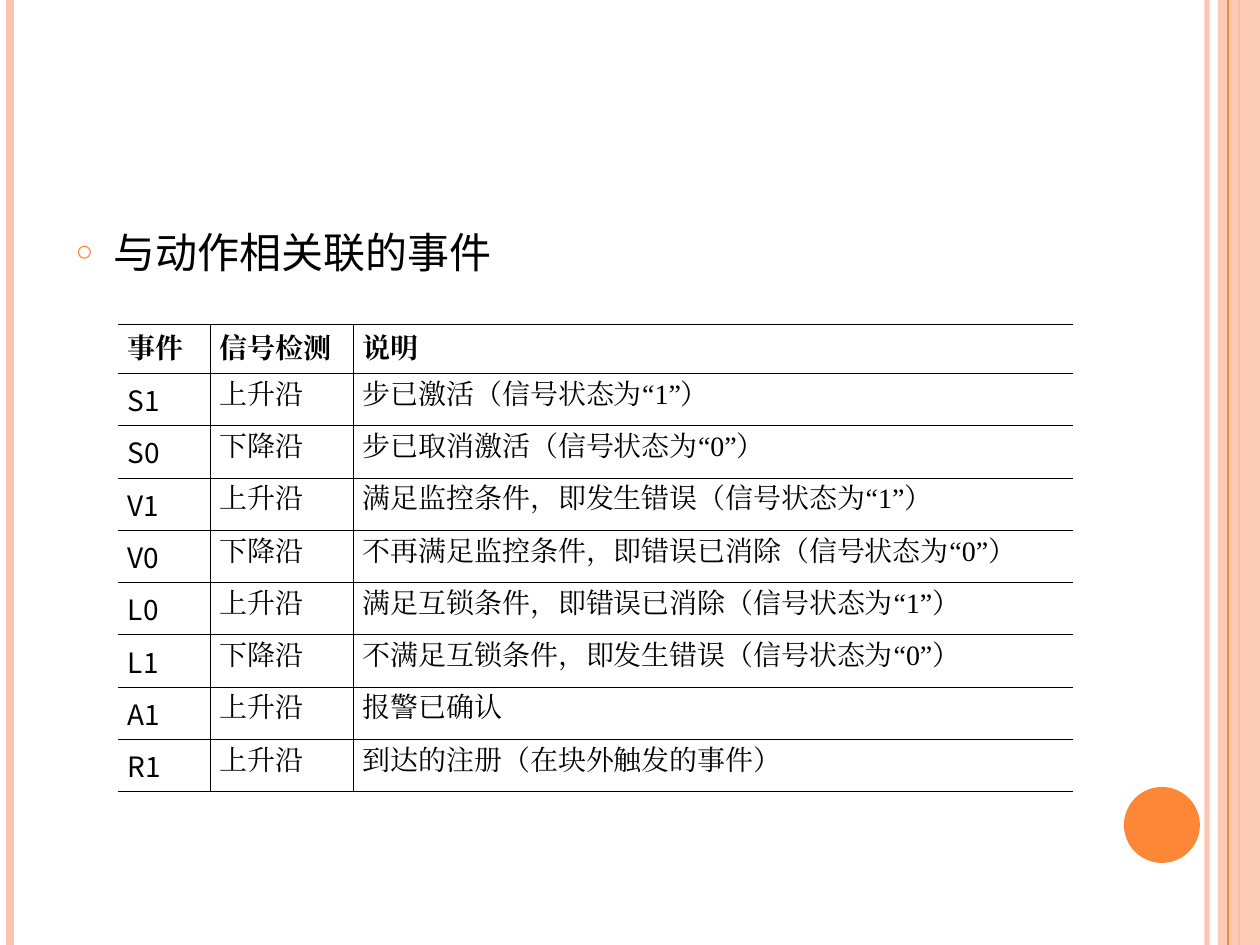
from lxml.etree import SubElement
from pptx import Presentation
from pptx.dml.color import RGBColor
from pptx.enum.shapes import MSO_CONNECTOR, MSO_SHAPE
from pptx.enum.text import MSO_ANCHOR, PP_ALIGN
from pptx.oxml.ns import qn
from pptx.util import Pt

EMU_PER_PX = 914400 / 126
SLIDE_WIDTH, SLIDE_HEIGHT = 1260, 945
BLACK, ORANGE, PEACH = "000000", "FE8637", "FEC3AE"
SERIF, SANS, HEADING = "Times New Roman", "Noto Sans CJK SC", "TeX Gyre Schola"
COLUMN_WIDTHS = [92, 143, 720]
EVENTS = [
    ("事件", "信号检测", "说明"),
    ("S1", "上升沿", "步已激活（信号状态为“1”）"),
    ("S0", "下降沿", "步已取消激活（信号状态为“0”）"),
    ("V1", "上升沿", "满足监控条件，即发生错误（信号状态为“1”）"),
    ("V0", "下降沿", "不再满足监控条件，即错误已消除（信号状态为“0”）"),
    ("L0", "上升沿", "满足互锁条件，即错误已消除（信号状态为“1”）"),
    ("L1", "下降沿", "不满足互锁条件，即发生错误（信号状态为“0”）"),
    ("A1", "上升沿", "报警已确认"),
    ("R1", "上升沿", "到达的注册（在块外触发的事件）"),
]


def px(length):
    return round(length * EMU_PER_PX)


def rgb(color):
    return RGBColor.from_string(color)


def set_opacity(element, percent):
    """Make the solid colour inside element partly transparent."""
    color = next(element.iter(qn("a:srgbClr")))
    SubElement(color, qn("a:alpha"), val=str(percent * 1000))


def style_text(paragraph, font_name, size, bold=False):
    font = paragraph.font
    font.name, font.size, font.bold = font_name, Pt(size), bold
    font.color.rgb = rgb(BLACK)
    for run in paragraph.runs:
        properties = run._r.get_or_add_rPr()
        properties.set("lang", "zh-CN")
        SubElement(properties, qn("a:latin"), typeface=font_name)
        SubElement(properties, qn("a:ea"), typeface=font_name)


def add_stripe(slide, x, color, width, opacity=100):
    line = slide.shapes.add_connector(
        MSO_CONNECTOR.STRAIGHT, px(x), 0, px(x), px(SLIDE_HEIGHT))
    line.line.color.rgb = rgb(color)
    line.line.width = Pt(width)
    SubElement(line._element.spPr, qn("a:effectLst"))
    set_opacity(line._element.spPr, opacity)


def add_solid(slide, preset, left, top, width, height, color, opacity=100):
    shape = slide.shapes.add_shape(
        preset, px(left), px(top), px(width), px(height))
    shape.shadow.inherit = False
    shape.fill.solid()
    shape.fill.fore_color.rgb = rgb(color)
    shape.line.fill.background()
    set_opacity(shape._element.spPr, opacity)


def add_decoration(slide):
    # Stripes at both edges, and the disc at lower right
    add_stripe(slide, 1207, PEACH, 3, 93)
    add_stripe(slide, 10, PEACH, 4.5)
    add_stripe(slide, 1239, ORANGE, 1.5)
    add_solid(slide, MSO_SHAPE.RECTANGLE, 1218, 0, SLIDE_WIDTH - 1218,
              SLIDE_HEIGHT, PEACH, 87)
    add_stripe(slide, 1228, ORANGE, 0.75)
    add_solid(slide, MSO_SHAPE.OVAL, 1124, 787, 76, 76, ORANGE)


def fill_body(body, left, top, width, height):
    body.left, body.top = px(left), px(top)
    body.width, body.height = px(width), px(height)
    paragraph = body.text_frame.paragraphs[0]
    paragraph.text = "与动作相关联的事件"
    paragraph.space_before = Pt(0)
    # Small orange ring as bullet
    properties = paragraph._p.get_or_add_pPr()
    properties.set("marL", str(px(38)))
    properties.set("indent", str(-px(38)))
    bullet_color = SubElement(properties, qn("a:buClr"))
    SubElement(bullet_color, qn("a:srgbClr"), val=ORANGE)
    SubElement(properties, qn("a:buSzPct"), val="70000")
    SubElement(properties, qn("a:buChar"), char="○")
    style_text(paragraph, HEADING, 24)


def set_borders(cell, sides):
    """Rule the given sides and leave the others open."""
    properties = cell._tc.get_or_add_tcPr()
    for side in "LRTB":
        border = SubElement(properties, qn(f"a:ln{side}"), w=str(Pt(0.45)))
        if side in sides:
            fill = SubElement(border, qn("a:solidFill"))
            SubElement(fill, qn("a:srgbClr"), val=BLACK)
        else:
            SubElement(border, qn("a:noFill"))


def add_event_table(slide, left, top, height):
    frame = slide.shapes.add_table(
        len(EVENTS), len(COLUMN_WIDTHS), px(left), px(top),
        px(sum(COLUMN_WIDTHS)), px(height))
    table = frame.table
    table.first_row = table.horz_banding = False
    for column, width in zip(table.columns, COLUMN_WIDTHS):
        column.width = px(width)
    for row_index, row in enumerate(EVENTS):
        for column_index, text in enumerate(row):
            cell = table.cell(row_index, column_index)
            header = row_index == 0
            cell.margin_left = cell.margin_right = px(10)
            cell.margin_top = cell.margin_bottom = px(6)
            cell.vertical_anchor = MSO_ANCHOR.MIDDLE if header else MSO_ANCHOR.TOP
            # Inner verticals only: the table is open at left and right
            set_borders(cell, ("RTB", "LRTB", "LTB")[column_index])
            cell.fill.background()
            paragraph = cell.text_frame.paragraphs[0]
            paragraph.text = text
            paragraph.alignment = PP_ALIGN.JUSTIFY
            code = column_index == 0 and not header
            style_text(paragraph, SANS if code else SERIF, 16, header)


def main():
    presentation = Presentation()
    presentation.slide_width = px(SLIDE_WIDTH)
    presentation.slide_height = px(SLIDE_HEIGHT)
    slide = presentation.slides.add_slide(presentation.slide_layouts[1])
    title = slide.shapes.title._element
    title.getparent().remove(title)
    add_decoration(slide)
    fill_body(slide.placeholders[1], 63, 220, 1029, 672)
    add_event_table(slide, 118, 324, 444)
    presentation.save("out.pptx")


if __name__ == "__main__":
    main()
